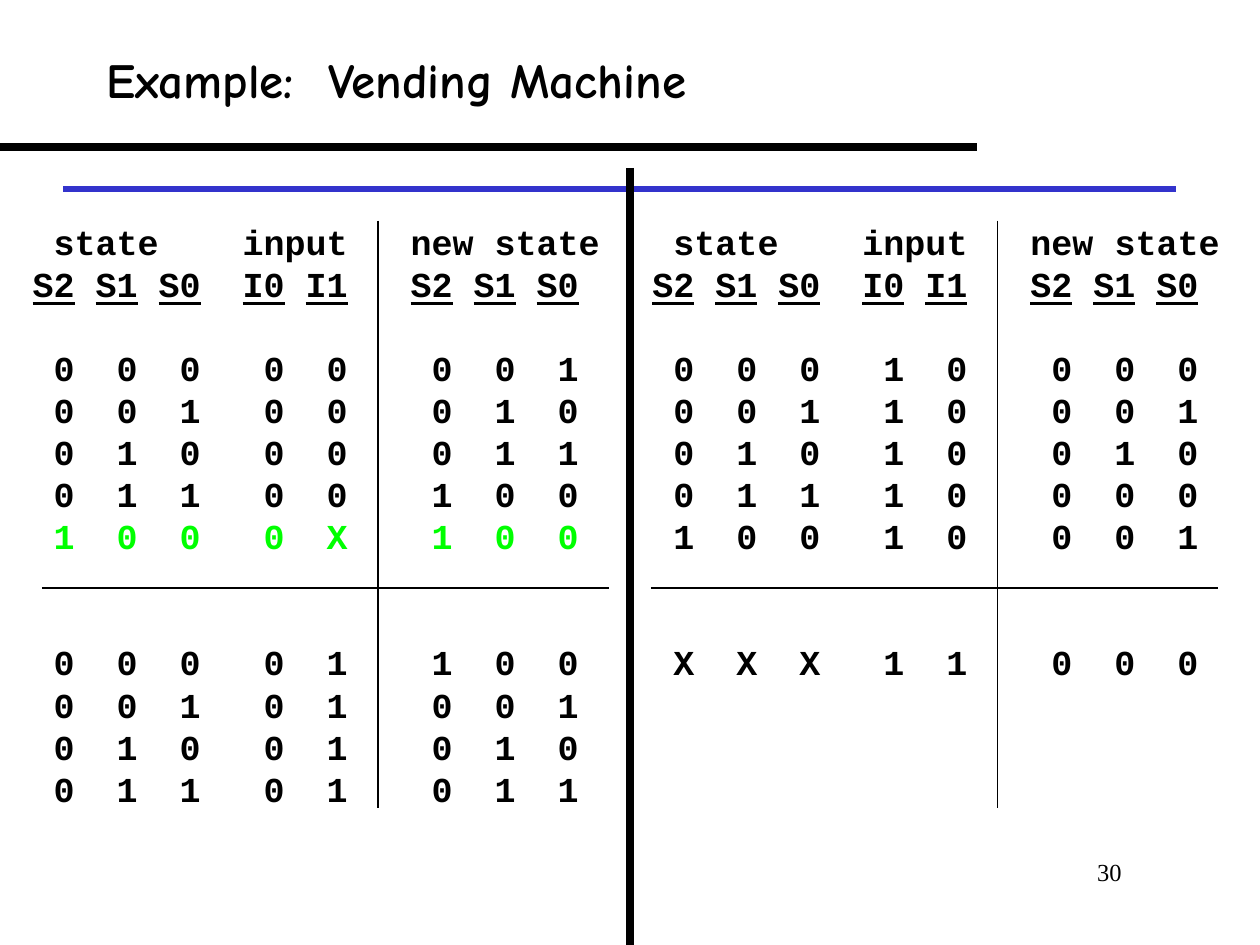
"""Build the vending machine state table slide."""
import pptx
import pptx.dml.color
import pptx.enum.shapes
import pptx.enum.text
import pptx.oxml.ns
import pptx.util
from lxml import etree

Pt = pptx.util.Pt
COLORS = {"ink": "000000", "accent": "3333CC", "highlight": "00FF00"}
LINE_HEIGHT = 24
CHARACTER = 12

HEADINGS = ["state", "input", "new state"]
SIGNALS = ["S2", "S1", "S0", "I0", "I1", "S2", "S1", "S0"]
HEADING_COLUMNS = [1, 10, 18]
SIGNAL_COLUMNS = [0, 3, 6, 10, 13, 18, 21, 24]
VALUE_COLUMNS = [column + 1 for column in SIGNAL_COLUMNS]

HALVES = [
    {"left": 11.5, "rule": 24, "divider": 216, "highlight": "1000X100", "blocks": [
        ["00000001", "00100010", "01000011", "01100100", "1000X100"],
        ["00001100", "00101001", "01001010", "01101011"]]},
    {"left": 365.75, "rule": 372, "divider": 570, "highlight": None, "blocks": [
        ["00010000", "00110001", "01010010", "01110000", "10010001"],
        ["XXX11000"]]},
]
BLOCK_GAPS = [LINE_HEIGHT, 2 * LINE_HEIGHT]

TITLE_FONT = {"name": "Comic Neue", "size": Pt(28), "bold": True}
TABLE_FONT = {"name": "Courier New", "size": Pt(20), "bold": True}
NUMBER_FONT = {"name": "Times New Roman", "size": Pt(14)}


def add_box(page, left, top, width, height, **frame_format):
    box = page.shapes.add_textbox(Pt(left), Pt(top), Pt(width), Pt(height))
    frame = box.text_frame
    for name, value in {"word_wrap": True, **frame_format}.items():
        setattr(frame, name, value)
    return frame


def write(para, text, font, color="ink", stops=(), **para_format):
    if stops:
        properties = para._p.get_or_add_pPr()
        tabs = etree.SubElement(properties, pptx.oxml.ns.qn("a:tabLst"))
        for stop in stops:
            etree.SubElement(tabs, pptx.oxml.ns.qn("a:tab"), pos=str(Pt(stop)), algn="l")
    for name, value in para_format.items():
        setattr(para, name, value)
    span = para.add_run()
    span.text = text
    for name, value in font.items():
        setattr(span.font, name, value)
    span.font.color.rgb = pptx.dml.color.RGBColor.from_string(COLORS[color])


def add_line(page, start, end, weight, color="ink"):
    line = page.shapes.add_connector(
        pptx.enum.shapes.MSO_CONNECTOR.STRAIGHT, *map(Pt, start + end))
    line.line.width = Pt(weight)
    line.line.color.rgb = pptx.dml.color.RGBColor.from_string(COLORS[color])
    etree.SubElement(line._element.spPr, pptx.oxml.ns.qn("a:effectLst"))


def table_lines(half):
    yield HEADINGS, HEADING_COLUMNS, TABLE_FONT, "ink", 0
    yield SIGNALS, SIGNAL_COLUMNS, {**TABLE_FONT, "underline": True}, "ink", 0
    for block, gap in zip(half["blocks"], BLOCK_GAPS):
        for index, row in enumerate(block):
            color = "highlight" if row == half["highlight"] else "ink"
            yield row, VALUE_COLUMNS, TABLE_FONT, color, 0 if index else gap


def add_state_table(page, half):
    frame = add_box(page, half["left"], 120, 339, 367,
                    margin_top=Pt(6.2), margin_right=0)
    for index, (cells, columns, font, color, gap) in enumerate(table_lines(half)):
        para = frame.add_paragraph() if index else frame.paragraphs[0]
        lead = "\t" if columns[0] else ""
        stops = [column * CHARACTER for column in columns if column]
        spacing = {"line_spacing": Pt(LINE_HEIGHT)}
        if gap:
            spacing["space_before"] = Pt(gap)
        write(para, lead + "\t".join(cells), font, color, stops, **spacing)


def main():
    deck = pptx.Presentation()
    deck.slide_width, deck.slide_height = Pt(720), Pt(540)
    page = deck.slides.add_slide(deck.slide_layouts[6])

    add_line(page, (36, 108), (672, 108), 3, "accent")
    number = add_box(page, 498, 486, 150, 36)
    write(number.paragraphs[0], "30", NUMBER_FONT,
          alignment=pptx.enum.text.PP_ALIGN.RIGHT)
    title = add_box(page, 54, 0, 612, 90,
                    vertical_anchor=pptx.enum.text.MSO_ANCHOR.MIDDLE)
    write(title.paragraphs[0], "Example:\tVending Machine", TITLE_FONT, stops=[126.5])
    add_line(page, (0, 84), (558, 84), 4.5)

    for half in HALVES:
        add_state_table(page, half)
    add_line(page, (360, 96), (360, 540), 4.5)
    for half in HALVES:
        add_line(page, (half["rule"], 336), (half["rule"] + 324, 336), 0.75)
        add_line(page, (half["divider"], 126), (half["divider"], 462), 0.75)

    deck.save("out.pptx")


if __name__ == "__main__":
    main()
